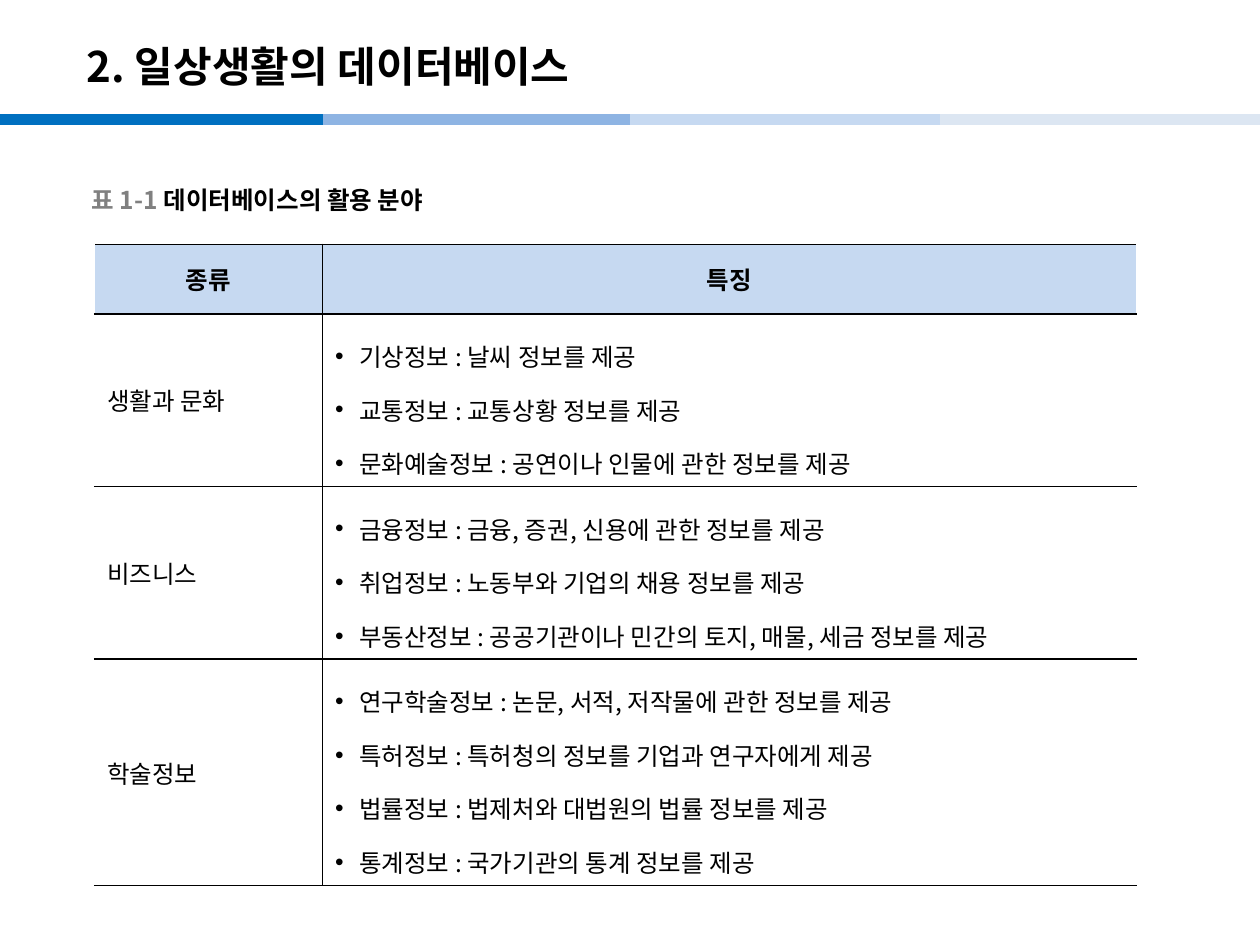
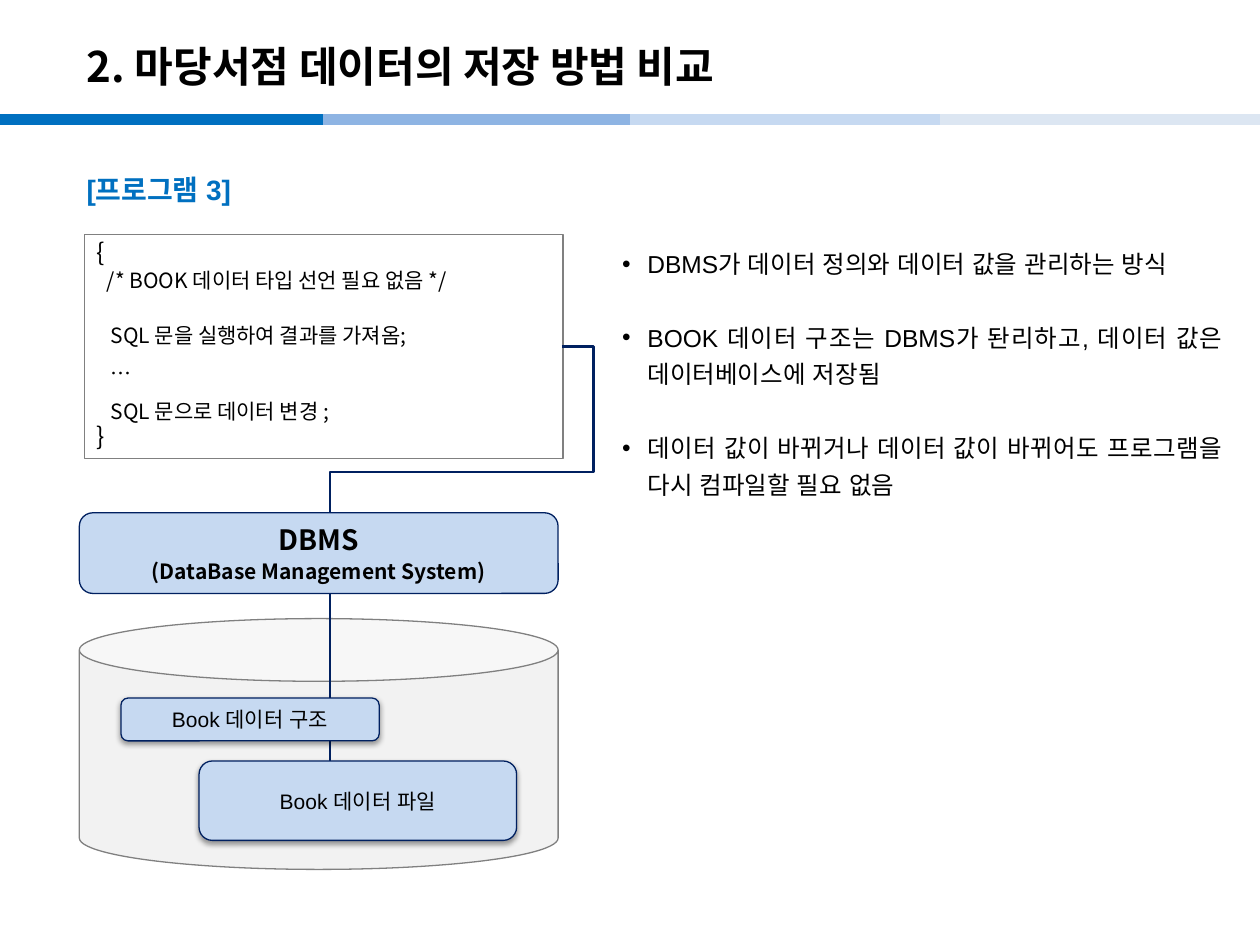
"""Build two slides on the uses of databases and on storing data with a DBMS."""
import lxml.etree
import pptx
import pptx.dml.color
import pptx.enum.shapes
import pptx.enum.text
import pptx.oxml.ns
import pptx.util

Inches = pptx.util.Inches
Pt = pptx.util.Pt
qn = pptx.oxml.ns.qn
add = lxml.etree.SubElement
ALIGN = pptx.enum.text.PP_ALIGN
MIDDLE = pptx.enum.text.MSO_ANCHOR.MIDDLE
SHAPE = pptx.enum.shapes.MSO_SHAPE
LINK = pptx.enum.shapes.MSO_CONNECTOR
NOTO, ARIAL = "Noto Sans CJK KR", "Arial"
BLACK, GRAY, WHITE = "000000", "808080", "FFFFFF"
BLUE, PALE, NAVY = "0070C0", "C6D9F1", "002060"


def paint(target, tone):
    """Give a fill or font one solid colour."""
    if hasattr(target, "solid"):
        target.solid()
        target = target.fore_color
    else:
        target = target.color
    target.rgb = pptx.dml.color.RGBColor.from_string(tone)


def write(para, text, size, face=NOTO, tone=BLACK, bold=False, align=ALIGN.LEFT,
          space=None, bullet=0):
    """Add one run and set the layout of its paragraph."""
    run = para.add_run()
    run.text = text
    run.font.size = Pt(size)
    run.font.bold = bold
    run.font.name = face
    paint(run.font, tone)
    add(run.font._element, qn("a:ea"), typeface=face)
    para.alignment = align
    if space:
        para.line_spacing = space
    if bullet:
        props = para._p.get_or_add_pPr()
        props.set("marL", str(Inches(bullet)))
        props.set("indent", str(-Inches(bullet)))
        add(props, qn("a:buFont"), typeface=ARIAL)
        add(props, qn("a:buChar"), char="•")


deck = pptx.Presentation()
deck.slide_width, deck.slide_height = Inches(10), Inches(7.5)
layout = deck.slide_layouts[5]

slides = []
for text in ("2. 일상생활의 데이터베이스", "2. 마당서점 데이터의 저장 방법 비교"):
    slide = deck.slides.add_slide(layout)
    title = slide.shapes.title
    title.left, title.top = Inches(0.59), Inches(0.22)
    title.width, title.height = Inches(8.27), Inches(0.6)
    title.text_frame.vertical_anchor = MIDDLE
    write(title.text_frame.paragraphs[0], text, 24, bold=True)
    slides.append(slide)
uses, store = slides

for left, right, tone in ((0, 2.56, BLUE), (2.56, 5.12, "8EB4E3"),
                          (5, 7.56, PALE), (7.46, 10, "DCE6F2")):
    band = uses.shapes.add_connector(
        LINK.STRAIGHT, Inches(left), Inches(0.95), Inches(right), Inches(0.95))
    band.line.width = Pt(6)
    paint(band.line.fill, tone)
    add(band._element.spPr, qn("a:effectLst"))
    layout.shapes.element.append(band._element)

label = uses.shapes.add_textbox(Inches(0.63), Inches(1.43), Inches(3.11), Inches(0.31))
label.text_frame.vertical_anchor = MIDDLE
for text, tone in (("표 1-1 ", GRAY), ("데이터베이스의 활용 분야", BLACK)):
    write(label.text_frame.paragraphs[0], text, 14, tone=tone, bold=True)

fields = [
    ("종류", ["특징"]),
    ("생활과 문화", ["기상정보 : 날씨 정보를 제공",
                "교통정보 : 교통상황 정보를 제공",
                "문화예술정보 : 공연이나 인물에 관한 정보를 제공"]),
    ("비즈니스", ["금융정보 : 금융, 증권, 신용에 관한 정보를 제공",
              "취업정보 : 노동부와 기업의 채용 정보를 제공",
              "부동산정보 : 공공기관이나 민간의 토지, 매물, 세금 정보를 제공"]),
    ("학술정보", ["연구학술정보 : 논문, 서적, 저작물에 관한 정보를 제공",
              "특허정보 : 특허청의 정보를 기업과 연구자에게 제공",
              "법률정보 : 법제처와 대법원의 법률 정보를 제공",
              "통계정보 : 국가기관의 통계 정보를 제공"]),
]
table = uses.shapes.add_table(
    4, 2, Inches(0.75), Inches(1.94), Inches(8.27), Inches(5.09)).table
for col, width in zip(table.columns, (1.81, 6.46)):
    col.width = Inches(width)
for row, height in zip(table.rows, (0.55, 1.37, 1.37, 1.8)):
    row.height = Inches(height)
for i, (kind, traits) in enumerate(fields):
    head = i == 0
    for j, lines in enumerate(([kind], traits)):
        cell = table.cell(i, j)
        cell.vertical_anchor = MIDDLE
        for side in ("lnL" if j else "lnR", "lnT", "lnB"):
            edge = add(cell._tc.get_or_add_tcPr(), qn("a:" + side), w=str(Pt(1)))
            add(add(edge, qn("a:solidFill")), qn("a:srgbClr"), val=BLACK)
        paint(cell.fill, PALE if head else WHITE)
        frame = cell.text_frame
        listed = j and not head
        for k, text in enumerate(lines):
            para = frame.add_paragraph() if k else frame.paragraphs[0]
            write(para, text, 14, bold=head,
                  align=ALIGN.CENTER if head else ALIGN.LEFT,
                  space=1.5 if listed else None, bullet=0.19 if listed else 0)

head = store.shapes.add_textbox(Inches(0.59), Inches(1.19), Inches(4), Inches(0.6))
write(head.text_frame.paragraphs[0], "[프로그램 3]", 16, ARIAL, BLUE, True, space=1.5)

notes = store.shapes.add_textbox(Inches(4.84), Inches(1.87), Inches(4.96), Inches(2.46))
notes.text_frame.word_wrap = True
for k, text in enumerate((
        "DBMS가 데이터 정의와 데이터 값을 관리하는 방식",
        "BOOK 데이터 구조는 DBMS가 돤리하고, 데이터 값은 데이터베이스에 저장됨",
        "데이터 값이 바뀌거나 데이터 값이 바뀌어도 프로그램을 다시 컴파일할 필요 없음")):
    para = notes.text_frame.add_paragraph() if k else notes.text_frame.paragraphs[0]
    para.space_before = Pt(21 if k else 0)
    write(para, text, 14, ARIAL, align=ALIGN.JUSTIFY, space=Pt(21), bullet=0.2)

boxes = {}
for name, form, left, top, width, height, fill, edge in (
        ("code", SHAPE.RECTANGLE, 0.67, 1.86, 3.8, 1.78, WHITE, GRAY),
        ("disk", SHAPE.CAN, 0.63, 4.91, 3.8, 1.99, "F2F2F2", GRAY),
        ("link", None, 4.46, 2.75, 2.62, 6.2, None, NAVY),
        ("dbms", SHAPE.ROUNDED_RECTANGLE, 0.63, 4.07, 3.8, 0.64, PALE, NAVY),
        ("Book 데이터 파일", SHAPE.ROUNDED_RECTANGLE, 1.58, 6.04, 2.52, 0.63, PALE, NAVY),
        ("Book 데이터 구조", SHAPE.ROUNDED_RECTANGLE, 0.96, 5.54, 2.05, 0.34, PALE, NAVY)):
    place = [Inches(n) for n in (left, top, width, height)]
    if form is None:
        box = store.shapes.add_connector(LINK.ELBOW, *place)
    else:
        box = store.shapes.add_shape(form, *place)
        box.shadow.inherit = False
        box.text_frame.word_wrap = True
        box.text_frame.vertical_anchor = MIDDLE
        paint(box.fill, fill)
    box.line.width = Pt(0.75 if form else 1.5)
    paint(box.line.fill, edge)
    boxes[name] = box

props = boxes["link"]._element.spPr
add(props, qn("a:effectLst"))
shape = props.find(qn("a:prstGeom"))
shape.set("prst", "bentConnector4")
bends = shape.find(qn("a:avLst"))
if bends is None:
    bends = add(shape, qn("a:avLst"))
for name, value in (("adj1", -13600), ("adj2", 28900)):
    add(bends, qn("a:gd"), name=name, fmla=f"val {value}")

frame = boxes["code"].text_frame
frame.vertical_anchor = pptx.enum.text.MSO_ANCHOR.TOP
for k, (text, size, indent, before, pitch) in enumerate((
        ("{", 14, 0, 0, 15),
        ("/* BOOK 데이터 타입 선언 필요 없음 */", 12, 0.08, 0, 15),
        ("SQL 문을 실행하여 결과를 가져옴;", 12, 0.11, 16, 15.5),
        ("…", 12, 0.11, 0, 21.5),
        ("SQL 문으로 데이터 변경 ;", 12, 0.11, 0, 21.5),
        ("}", 14, 0, 0, 15.5))):
    para = frame.add_paragraph() if k else frame.paragraphs[0]
    para.space_before = Pt(before)
    write(para, text, size, space=Pt(pitch))
    para._p.get_or_add_pPr().set("marL", str(Inches(indent)))

frame = boxes["dbms"].text_frame
for k, (text, size, pitch) in enumerate((
        ("DBMS", 16, 19), ("(DataBase Management System)", 12, 16))):
    para = frame.add_paragraph() if k else frame.paragraphs[0]
    write(para, text, size, bold=True, align=ALIGN.CENTER, space=Pt(pitch))

for text in ("Book 데이터 파일", "Book 데이터 구조"):
    box = boxes[text]
    write(box.text_frame.paragraphs[0], text, 12, ARIAL, align=ALIGN.CENTER)
    shade = add(box._element.spPr.find(qn("a:effectLst")), qn("a:outerShdw"),
                blurRad=str(Pt(3.1)), dist=str(Pt(1.6)), dir="5400000", rotWithShape="0")
    add(add(shade, qn("a:srgbClr"), val=BLACK), qn("a:alpha"), val="38000")

deck.save("out.pptx")
